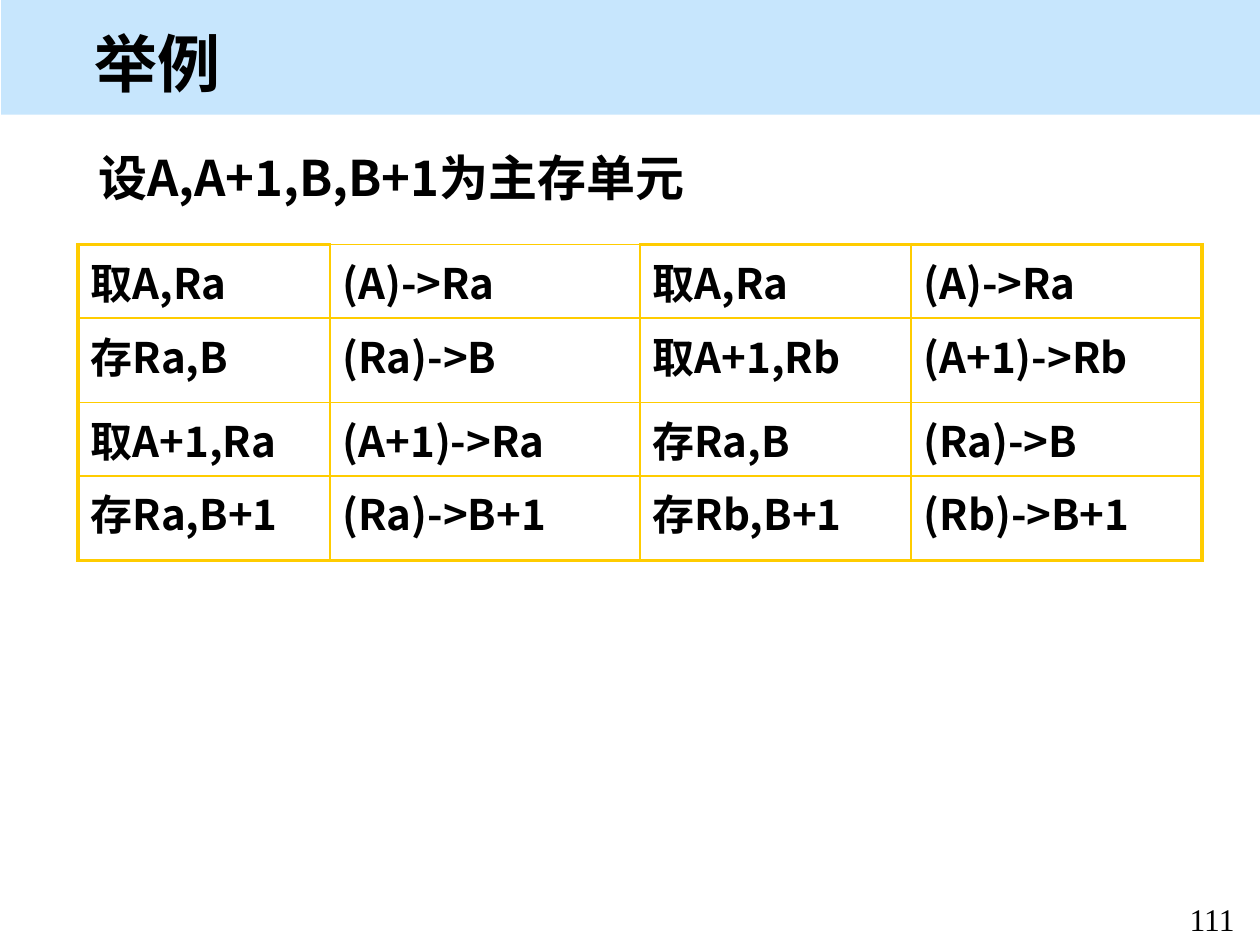
import pptx
import pptx.dml.color
import pptx.enum.shapes
import pptx.enum.text
import pptx.oxml
import pptx.oxml.ns
import pptx.util
from pptx.util import Inches

COLORS = {"band": "C7E6FD", "text": "000000", "border": "FFCC00"}
SANS, SERIF = "Noto Sans CJK SC", "Times New Roman"
THIN, THICK = 1, 2.25

TITLE = "举例"
PREMISE = "设A,A+1,B,B+1为主存单元"
PAGE_NUMBER = "111"
INSTRUCTIONS = [
    ("取A,Ra", "(A)->Ra", "取A,Ra", "(A)->Ra"),
    ("存Ra,B", "(Ra)->B", "取A+1,Rb", "(A+1)->Rb"),
    ("取A+1,Ra", "(A+1)->Ra", "存Ra,B", "(Ra)->B"),
    ("存Ra,B+1", "(Ra)->B+1", "存Rb,B+1", "(Rb)->B+1"),
]
COLUMN_WIDTHS = [2, 2.46, 2.15, 2.31]
ROW_HEIGHTS = [0.58, 0.67, 0.58, 0.67]

ALIGN = pptx.enum.text.PP_ALIGN
ANCHOR = pptx.enum.text.MSO_ANCHOR


def rgb(name):
    return pptx.dml.color.RGBColor.from_string(COLORS[name])


def write_text(frame, text, size, font=SANS, bold=True, align=ALIGN.LEFT,
               anchor=ANCHOR.TOP, hanging=None):
    """Fill a text frame; hanging is the indent, in inches, of an unbulleted list item."""
    frame.word_wrap = True
    frame.vertical_anchor = anchor
    paragraph = frame.paragraphs[0]
    paragraph.alignment = align
    paragraph.space_before = pptx.util.Pt(0)
    if hanging is not None:
        properties = paragraph._p.get_or_add_pPr()
        properties.set("marL", str(Inches(hanging)))
        properties.set("indent", str(-Inches(hanging)))
        pptx.oxml.ns.qn("a:buNone")
        properties.append(make_element("<a:buNone {ns}/>"))
    run = paragraph.add_run()
    run.text = text
    run.font.size = pptx.util.Pt(size)
    run.font.bold = bold
    run.font.color.rgb = rgb("text")
    run.font.name = font
    latin = run._r.rPr.find(pptx.oxml.ns.qn("a:latin"))
    latin.addnext(make_element(f'<a:ea {{ns}} typeface="{font}"/>'))


def make_element(template):
    return pptx.oxml.parse_xml(template.format(ns=pptx.oxml.ns.nsdecls("a")))


def place(shape, left, top, width, height):
    shape.left, shape.top = Inches(left), Inches(top)
    shape.width, shape.height = Inches(width), Inches(height)


def set_borders(cell, widths):
    """Draw the left, right, top and bottom borders with the given point widths."""
    properties = cell._tc.get_or_add_tcPr()
    for position, (side, width) in enumerate(zip("LRTB", widths)):
        properties.insert(position, make_element(
            f'<a:ln{side} {{ns}} w="{pptx.util.Pt(width)}"><a:solidFill>'
            f'<a:srgbClr val="{COLORS["border"]}"/></a:solidFill></a:ln{side}>'))


def add_band(slide):
    band = slide.shapes.add_shape(pptx.enum.shapes.MSO_SHAPE.RECTANGLE,
                                  Inches(0.01), 0, Inches(9.99), Inches(0.91))
    band.shadow.inherit = False
    band.fill.solid()
    band.fill.fore_color.rgb = rgb("band")
    band.line.fill.background()
    slide.shapes._spTree.insert(2, band._element)  # behind the title


def add_instruction_table(slide):
    table = slide.shapes.add_table(
        len(ROW_HEIGHTS), len(COLUMN_WIDTHS), Inches(0.62), Inches(1.94),
        Inches(sum(COLUMN_WIDTHS)), Inches(sum(ROW_HEIGHTS))).table
    table.first_row = table.horz_banding = False
    for column, width in zip(table.columns, COLUMN_WIDTHS):
        column.width = Inches(width)
    for row, height in zip(table.rows, ROW_HEIGHTS):
        row.height = Inches(height)
    last_row, last_column = len(ROW_HEIGHTS) - 1, len(COLUMN_WIDTHS) - 1
    for r, texts in enumerate(INSTRUCTIONS):
        for c, text in enumerate(texts):
            cell = table.cell(r, c)
            cell.fill.background()
            write_text(cell.text_frame, text, 24)
            outer = (c == 0, c == last_column, r == 0 and c != 1, r == last_row)
            set_borders(cell, [THICK if edge else THIN for edge in outer])


def main():
    presentation = pptx.Presentation()
    presentation.slide_width, presentation.slide_height = Inches(10), Inches(7.5)
    slide = presentation.slides.add_slide(presentation.slide_layouts[1])
    add_band(slide)

    title, body = slide.shapes.title, slide.placeholders[1]
    place(title, 0.65, 0.16, 9.16, 0.67)
    place(body, 0.68, 1.12, 8.5, 0.67)
    for placeholder in (title, body):
        placeholder.text_frame.auto_size = pptx.enum.text.MSO_AUTO_SIZE.NONE
    write_text(title.text_frame, TITLE, 36, anchor=ANCHOR.MIDDLE)
    write_text(body.text_frame, PREMISE, 28, hanging=0.38)

    add_instruction_table(slide)

    number = slide.shapes.add_textbox(Inches(9.27), Inches(7.09), Inches(0.7), Inches(0.33))
    write_text(number.text_frame, PAGE_NUMBER, 18, font=SERIF, bold=False, align=ALIGN.CENTER)
    presentation.save("out.pptx")


if __name__ == "__main__":
    main()
